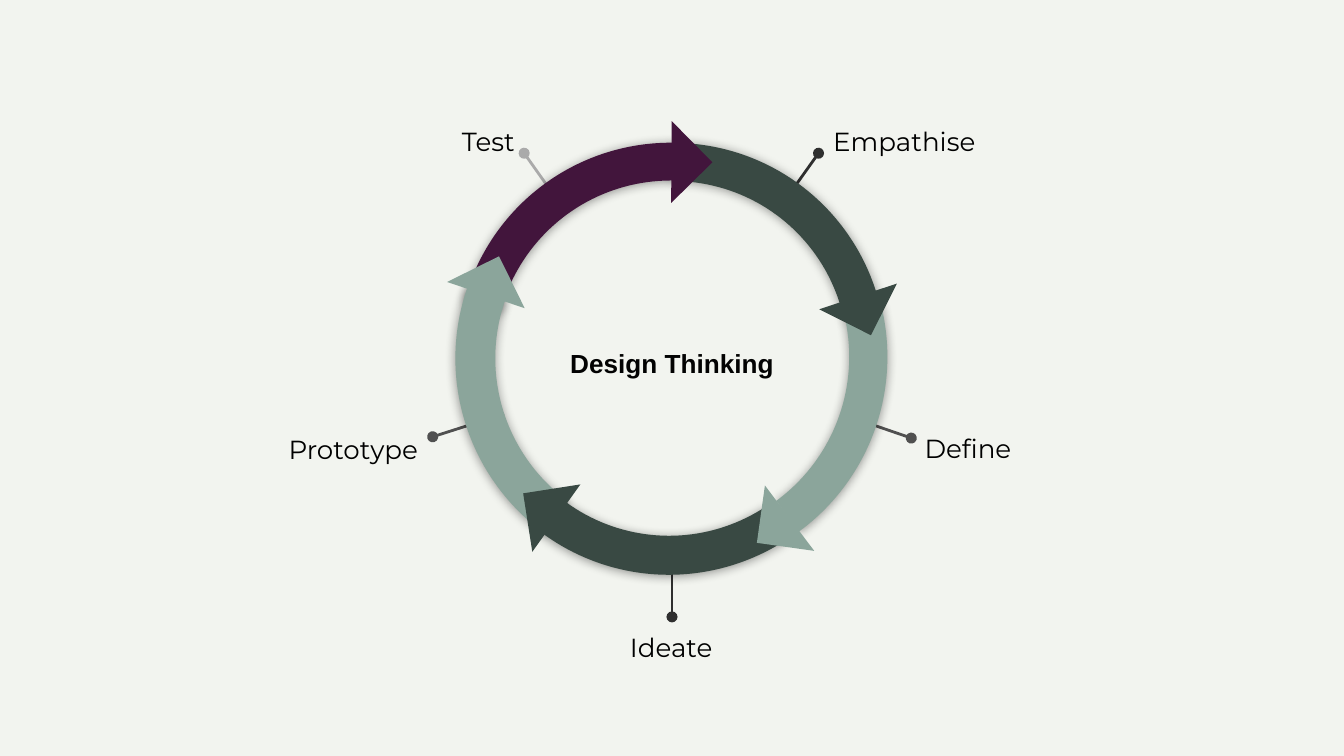
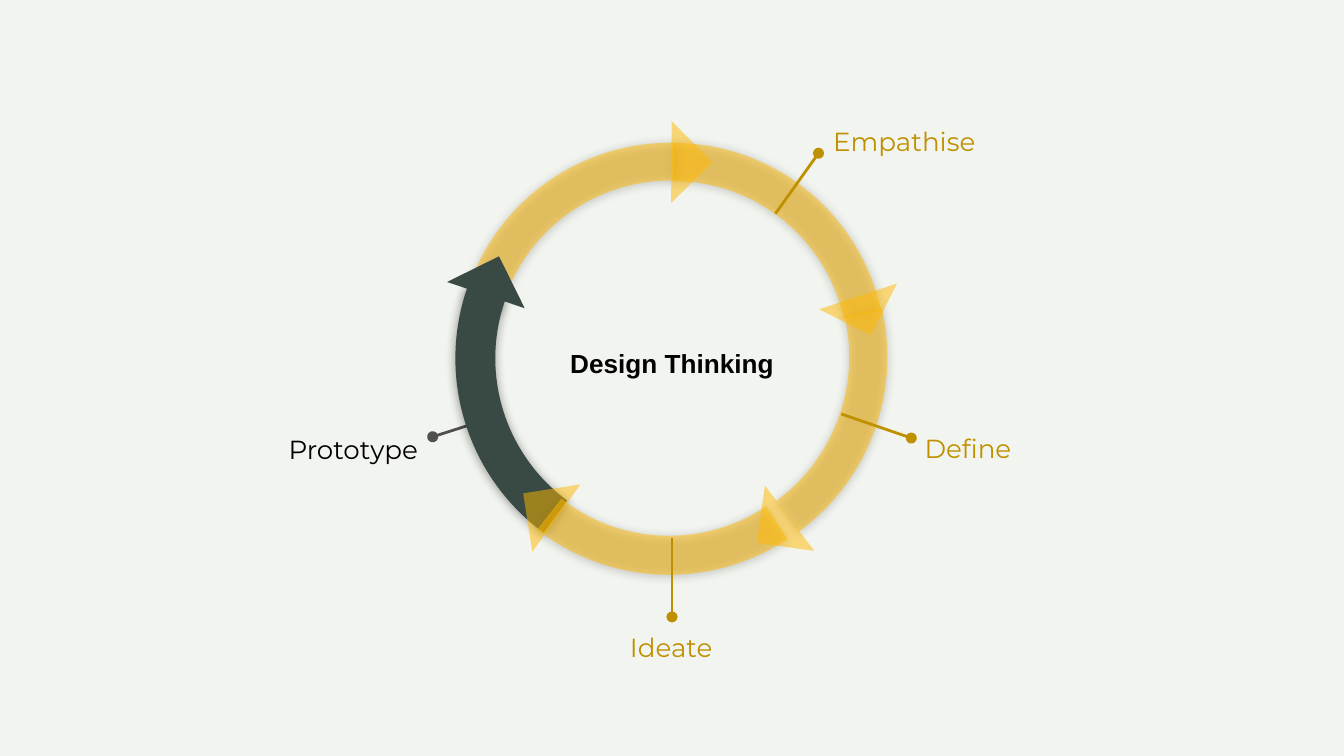
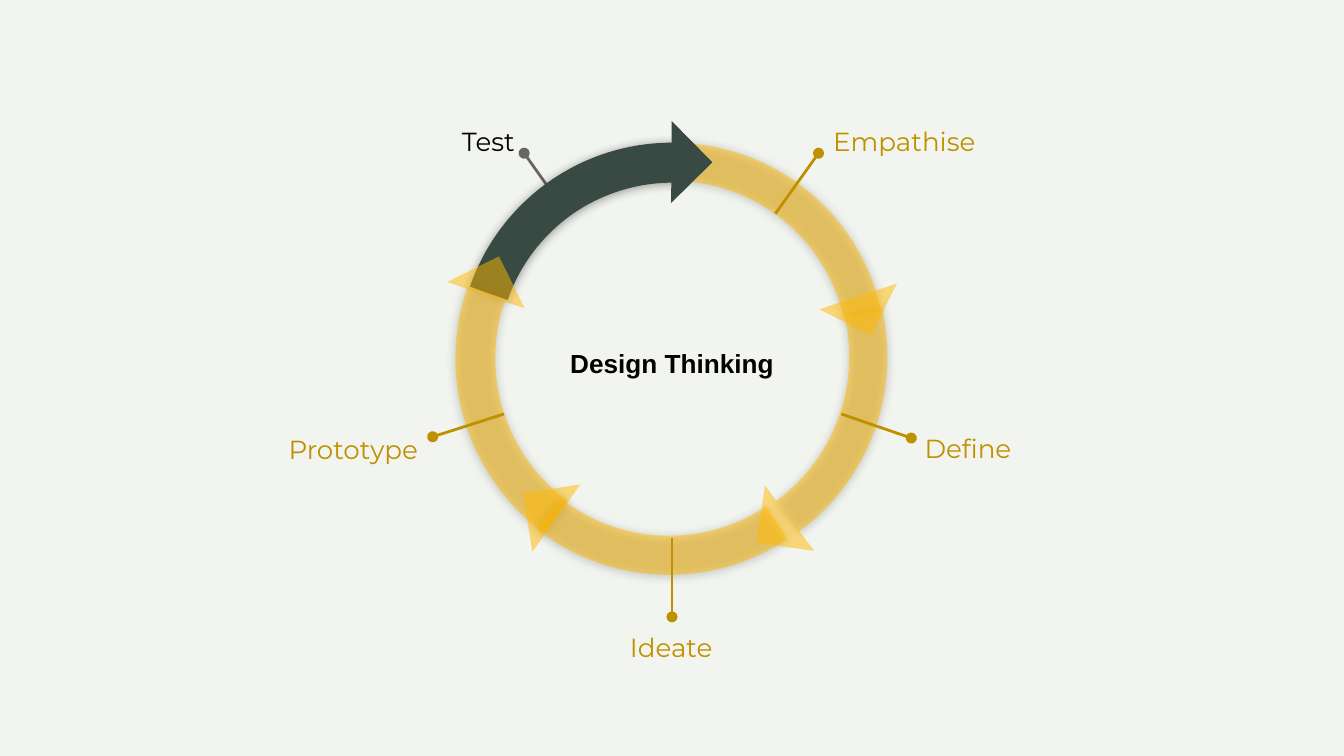
from lxml import etree
from pptx import Presentation
from pptx.dml.color import RGBColor
from pptx.enum.shapes import MSO_CONNECTOR, MSO_SHAPE
from pptx.enum.text import MSO_ANCHOR, PP_ALIGN
from pptx.oxml import parse_xml
from pptx.oxml.ns import nsdecls, qn
from pptx.util import Pt

LEFT, CENTER, RIGHT = PP_ALIGN.LEFT, PP_ALIGN.CENTER, PP_ALIGN.RIGHT
TOP, MIDDLE = MSO_ANCHOR.TOP, MSO_ANCHOR.MIDDLE
ARC, TRIANGLE = MSO_SHAPE.BLOCK_ARC, MSO_SHAPE.RIGHT_TRIANGLE
STRAIGHT = MSO_CONNECTOR.STRAIGHT

BACKGROUND, BLACK, TITLE = "F2F4EF", "000000", "020202"
DARK, SAGE, PLUM = "394943", "8BA59B", "42153C"
AMBER, GOLD = "FFB900", "BF9000"
CHARCOAL, GRAY, SILVER, STEEL = "2F2F2F", "505050", "AAAAAA", "666666"

LABEL_FONT = {"name": "Montserrat", "size": Pt(14)}
TITLE_FONT = {"name": "Arial", "size": Pt(14), "bold": True}
SHADOW = (
    f'<a:effectLst {nsdecls("a")}>'
    f'<a:outerShdw blurRad="{Pt(5.6)}" dist="{Pt(0.8)}" dir="5400000" rotWithShape="0">'
    '<a:srgbClr val="000000"><a:alpha val="40000"/></a:srgbClr>'
    '</a:outerShdw></a:effectLst>'
)

CALLOUTS = {
    "Empathise": ((438.5, 82.1, 415.4, 114.5), (439.2, 57.6), LEFT),
    "Test": ((280.8, 82.1, 303.8, 114.5), (155.5, 57.6), RIGHT),
    "Define": ((488.2, 234.7, 450.7, 221.8), (488.2, 221.8), LEFT),
    "Prototype": ((231.8, 234, 270, 221.8), (103.7, 222.5), RIGHT),
    "Ideate": ((360, 330.5, 360, 288), (295.9, 328.3), CENTER),
}

PIECES = [
    ("Empathise", ARC, (244.8, 76.3, 229.7, 231.8), 30.3, False, (144.14, 189.99, 0.089)),
    ("Define", ARC, (245.5, 76.3, 229.7, 231.1), 210.3, True, (201.79, 26.24, 0.089)),
    ("Empathise", TRIANGLE, (444.2, 143.3, 31, 31), 296.7, False, ()),
    ("Test", ARC, (244.8, 76.3, 230.4, 231.8), 329.7, True, (143.34, 188.55, 0.088)),
    ("Prototype", ARC, (244.1, 77, 229.7, 231.1), 149.7, False, (201.85, 30.07, 0.093)),
    ("Ideate", ARC, (244.1, 77, 229.7, 231.1), 210.3, True, (157.39, 200.08, 0.091)),
    ("Prototype", TRIANGLE, (244.8, 142.6, 31, 31), 153.7, False, ()),
    ("Define", TRIANGLE, (407.5, 262.1, 31, 31), 8, False, ()),
    ("Ideate", TRIANGLE, (282.2, 262.1, 31.7, 31), 81.1, False, ()),
    ("Test", TRIANGLE, (344.2, 71.3, 31, 31), 225.4, False, ()),
]

PAGES = [
    {
        "current": {"Empathise": CHARCOAL, "Test": SILVER, "Define": GRAY,
                    "Prototype": GRAY, "Ideate": CHARCOAL},
        "fills": {"Empathise": DARK, "Define": SAGE, "Ideate": DARK,
                  "Prototype": SAGE, "Test": PLUM},
        "done": [],
        "arcs": {},
    },
    {
        "current": {"Prototype": GRAY},
        "fills": {"Prototype": DARK},
        "done": ["Ideate", "Define", "Empathise"],
        "arcs": {},
    },
    {
        "current": {"Test": STEEL},
        "fills": {"Test": DARK},
        "done": ["Prototype", "Ideate", "Define", "Empathise"],
        "arcs": {"Test": ((245.5, 76.3, 230.4, 231.8), (143.41, 186.11, 0.093))},
    },
]

color = RGBColor.from_string


def write_text(shapes, frame, words, font, shade, align, anchor, spacing, inset):
    box = shapes.add_textbox(*map(Pt, frame))
    layout = {"word_wrap": True, "vertical_anchor": anchor, "margin_left": Pt(inset),
              "margin_right": Pt(7.2), "margin_top": Pt(7.2), "margin_bottom": Pt(7.2)}
    for name, value in layout.items():
        setattr(box.text_frame, name, value)
    para = box.text_frame.paragraphs[0]
    para.alignment = align
    para.line_spacing = spacing
    span = para.add_run()
    span.text = words
    for name, value in font.items():
        setattr(span.font, name, value)
    span.font.color.rgb = color(shade)


def draw_callout(page, stage, line_shade, text_shade):
    ends, corner, align = CALLOUTS[stage]
    group = page.shapes.add_group_shape()
    pointer = group.shapes.add_connector(STRAIGHT, *map(Pt, ends))
    pointer.line.width = Pt(1.5)
    pointer.line.color.rgb = color(line_shade)
    etree.SubElement(pointer.line._get_or_add_ln(), qn("a:headEnd"), type="oval")
    etree.SubElement(pointer.element.spPr, qn("a:effectLst"))
    write_text(group.shapes, (*corner, 127.4, 57.6), stage, LABEL_FONT,
               text_shade, align, TOP, 1.15, 7.2)


deck = Presentation()
deck.slide_width, deck.slide_height = Pt(720), Pt(405)

for plan in PAGES:
    page = deck.slides.add_slide(deck.slide_layouts[6])
    page.background.fill.solid()
    page.background.fill.fore_color.rgb = color(BACKGROUND)

    for stage, shade in plan["current"].items():
        draw_callout(page, stage, shade, BLACK)

    write_text(page.shapes, (283, 159.8, 152.6, 69.1), "Design Thinking", TITLE_FONT,
               TITLE, CENTER, MIDDLE, 1, 8.6)

    for stage, kind, frame, turn, flipped, bends in PIECES:
        if kind == ARC:
            frame, bends = plan["arcs"].get(stage, (frame, bends))
        piece = page.shapes.add_shape(kind, *map(Pt, frame))
        piece.rotation = turn
        for index, bend in enumerate(bends):
            piece.adjustments[index] = bend
        if flipped:
            piece.element.spPr.find(qn("a:xfrm")).set("flipH", "1")
        piece.line.fill.background()
        piece.fill.solid()
        piece.fill.fore_color.rgb = color(plan["fills"].get(stage, AMBER))
        if stage not in plan["fills"]:
            tint = piece.element.spPr.find(qn("a:solidFill"))[0]
            etree.SubElement(tint, qn("a:alpha"), val="50000")
        if kind == ARC:
            piece.element.spPr.append(parse_xml(SHADOW))
        else:
            piece.shadow.inherit = False

    for stage in plan["done"]:
        draw_callout(page, stage, GOLD, GOLD)

deck.save("out.pptx")
